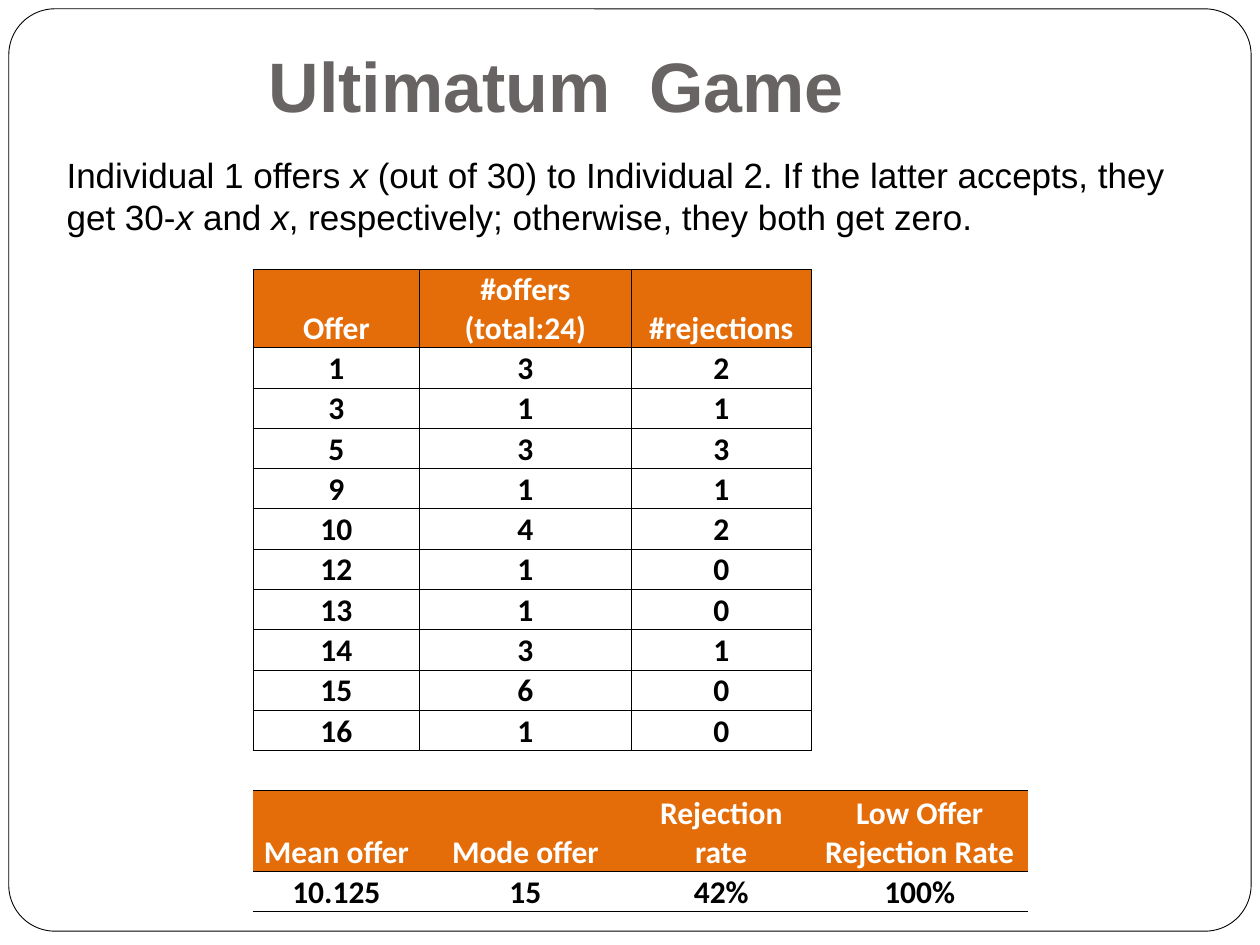
"""Build the Ultimatum Game slide with its table of offers and rejections."""
from lxml.etree import SubElement
from pptx import Presentation
from pptx.dml.color import RGBColor
from pptx.enum.shapes import MSO_SHAPE
from pptx.enum.text import MSO_ANCHOR, MSO_AUTO_SIZE, PP_ALIGN
from pptx.oxml.ns import qn
from pptx.util import Inches, Pt

BLACK = RGBColor(0x00, 0x00, 0x00)
WHITE = RGBColor(0xFF, 0xFF, 0xFF)
GREY = RGBColor(0x69, 0x64, 0x64)
ORANGE = RGBColor(0xE4, 0x6D, 0x0A)

TITLE = "Ultimatum  Game"
RULES = [
    ("Individual 1 offers ", False),
    ("x", True),
    (" (out of 30) to Individual 2. If the latter accepts, they get 30-", False),
    ("x ", True),
    ("and ", False),
    ("x", True),
    (", respectively; otherwise, they both get zero.", False),
]
OFFERS = [
    ("Offer", "#offers (total:24)", "#rejections"),
    (1, 3, 2),
    (3, 1, 1),
    (5, 3, 3),
    (9, 1, 1),
    (10, 4, 2),
    (12, 1, 0),
    (13, 1, 0),
    (14, 3, 1),
    (15, 6, 0),
    (16, 1, 0),
]
SUMMARY = [
    ("Mean offer", "Mode offer", "Rejection rate", "Low Offer Rejection Rate"),
    ("10.125", "15", "42%", "100%"),
]
ROWS = OFFERS + [()] + SUMMARY
GAP = len(OFFERS)
HEADS = {0: 0.62, GAP + 1: 0.64}
ROW_H = 0.32
WIDTHS = [1.32, 1.68, 1.43, 1.72]


def add_run(para, text, font, size, color, bold=False, italic=False):
    run = para.add_run()
    run.text = str(text)
    run.font.name = font
    run.font.size = Pt(size)
    run.font.bold = bold
    run.font.italic = italic
    run.font.color.rgb = color


def has_top(row, col):
    return row > GAP or col < len(OFFERS[0])


def has_left(row, col):
    return row < GAP and col <= len(OFFERS[0])


def set_edges(cell, row, col):
    edges = {
        "a:lnL": has_left(row, col),
        "a:lnR": has_left(row, col + 1),
        "a:lnT": has_top(row, col),
        "a:lnB": has_top(row + 1, col),
    }
    props = cell._tc.get_or_add_tcPr()
    for tag, shown in edges.items():
        line = SubElement(props, qn(tag), w=str(Pt(0.5)))
        if shown:
            fill = SubElement(line, qn("a:solidFill"))
            SubElement(fill, qn("a:srgbClr"), val=str(BLACK))
        else:
            SubElement(line, qn("a:noFill"))


def fill_cell(cell, row, col):
    cell.margin_left = cell.margin_right = cell.margin_top = Inches(0.01)
    cell.margin_bottom = 0
    cell.vertical_anchor = MSO_ANCHOR.BOTTOM
    set_edges(cell, row, col)
    if col >= len(ROWS[row]):
        cell.fill.background()
        return
    head = row in HEADS
    if head:
        cell.fill.solid()
        cell.fill.fore_color.rgb = ORANGE
    else:
        cell.fill.background()
    para = cell.text_frame.paragraphs[0]
    para.alignment = PP_ALIGN.CENTER
    add_run(para, ROWS[row][col], "Calibri", 18, WHITE if head else BLACK, bold=True)


def add_frame(slide):
    box = [Inches(n) for n in (0.07, 0.07, 9.86, 7.32)]
    frame = slide.shapes.add_shape(MSO_SHAPE.ROUNDED_RECTANGLE, *box)
    frame.adjustments[0] = 0.05
    frame.shadow.inherit = False
    frame.fill.solid()
    frame.fill.fore_color.rgb = WHITE
    frame.line.color.rgb = BLACK
    frame.line.width = Pt(0.5)
    slide.shapes.title._element.addprevious(frame._element)


def add_grid(slide):
    highs = [HEADS.get(row, ROW_H) for row in range(len(ROWS))]
    box = [Inches(n) for n in (2.01, 2.14, sum(WIDTHS), sum(highs))]
    table = slide.shapes.add_table(len(ROWS), len(WIDTHS), *box).table
    table.first_row = table.horz_banding = False
    for col, width in enumerate(WIDTHS):
        table.columns[col].width = Inches(width)
    for row, high in enumerate(highs):
        table.rows[row].height = Inches(high)
        for col in range(len(WIDTHS)):
            fill_cell(table.cell(row, col), row, col)


def add_title(slide):
    title = slide.shapes.title
    title.left, title.top = Inches(1.46), Inches(0.29)
    title.width, title.height = Inches(5.91), Inches(0.77)
    text = title.text_frame
    text.auto_size = MSO_AUTO_SIZE.SHAPE_TO_FIT_TEXT
    text.vertical_anchor = MSO_ANCHOR.TOP
    para = text.paragraphs[0]
    para.alignment = PP_ALIGN.CENTER
    add_run(para, TITLE, "Arial", 40, GREY, bold=True)


def add_rules(slide):
    box = [Inches(n) for n in (0.43, 1.17, 8.98, 0.98)]
    text = slide.shapes.add_textbox(*box).text_frame
    text.word_wrap = True
    for words, italic in RULES:
        add_run(text.paragraphs[0], words, "Arial", 20, BLACK, italic=italic)


def main():
    deck = Presentation()
    deck.slide_width, deck.slide_height = Inches(10), Inches(7.5)
    slide = deck.slides.add_slide(deck.slide_layouts[5])
    add_frame(slide)
    add_grid(slide)
    add_title(slide)
    add_rules(slide)
    deck.save("out.pptx")


if __name__ == "__main__":
    main()
